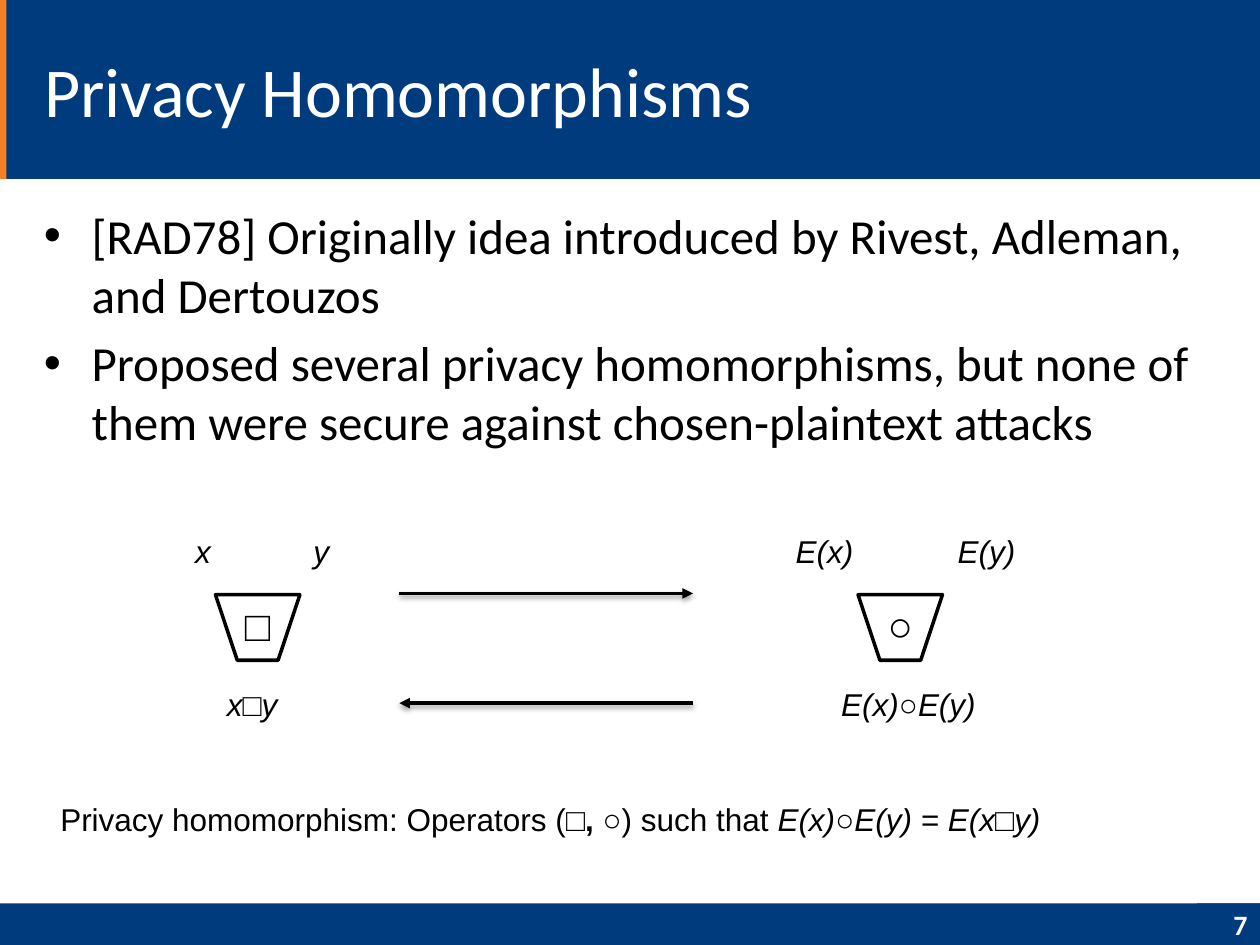
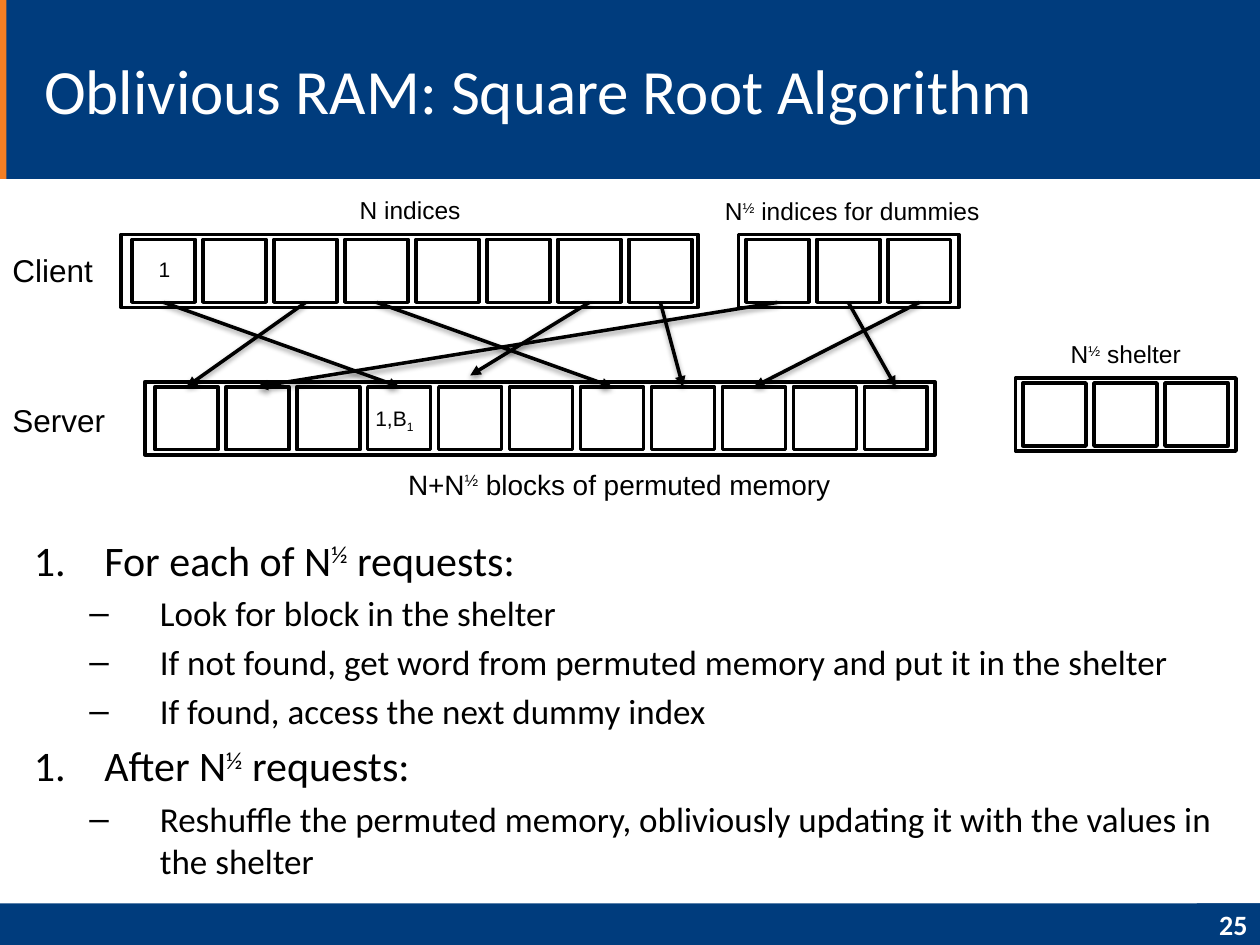
import pptx
import pptx.util
import pptx.dml.color
import pptx.enum.shapes
import pptx.enum.text
import pptx.oxml
import pptx.oxml.ns
import lxml.etree

COLORS = {"navy": "003C7D", "orange": "F47F24", "white": "FFFFFF", "black": "000000"}
WIDTH, HEIGHT = 10, 7.5
HEADER, FOOTER = 1.42, 0.33
LINE = 2
SHAPE = pptx.enum.shapes.MSO_SHAPE
ALIGN = {"left": pptx.enum.text.PP_ALIGN.LEFT, "center": pptx.enum.text.PP_ALIGN.CENTER,
         "right": pptx.enum.text.PP_ALIGN.RIGHT}
BASELINES = {"sup": "30000", "sub": "-25000"}
NAMESPACE = pptx.oxml.ns.nsdecls("a")
SHADOW = (f'<a:effectLst {NAMESPACE}><a:outerShdw blurRad="39400" dist="20300" dir="5400000" '
          'rotWithShape="0"><a:srgbClr val="000000"><a:alpha val="38000"/></a:srgbClr>'
          '</a:outerShdw></a:effectLst>')

HALF = ("½", "sup")

PRIVACY_POINTS = [
    "[RAD78] Originally idea introduced by Rivest, Adleman, and Dertouzos",
    "Proposed several privacy homomorphisms, but none of them were secure "
    "against chosen-plaintext attacks",
]
OPERATORS = [
    {"symbol": "□", "left": 1.71,
     "labels": [([("x", "i")], 1.61, 4.17), ([("y", "i")], 2.55, 4.17),
                ([("x", "i"), ("□", "b"), ("y ", "i")], 2.035, 5.39)]},
    {"symbol": "○", "left": 6.81,
     "labels": [([("E(x)", "i")], 6.545, 4.17), ([("E(y)", "i")], 7.83, 4.17),
                ([("E(x)", "i"), ("○", "b"), ("E(y)", "i")], 7.21, 5.39)]},
]
MAPPINGS = [((3.17, 4.71), (5.5, 4.71)), ((5.5, 5.58), (3.17, 5.58))]
DEFINITION = [("Privacy homomorphism: Operators (", ""), ("□, ○", "b"), (") such that ", ""),
              ("E(x)", "i"), ("○", "b"), ("E(y) = E(x", "i"), ("□", "b"), ("y)", "i")]

CELL, PITCH, CELL_DROP = 0.5, 0.563, 0.04
MEMORY = {
    "indices": {"left": 0.96, "top": 1.86, "width": 4.58, "inset": 0.09, "count": 8},
    "dummies": {"left": 5.86, "top": 1.86, "width": 1.75, "inset": 0.06, "count": 3},
    "shelter": {"left": 8.06, "top": 3.0, "width": 1.75, "inset": 0.06, "count": 3},
    "server": {"left": 1.15, "top": 3.03, "width": 6.27, "inset": 0.08, "count": 11},
}
PERMUTATION = {0: 3, 2: 0, 8: 1, 9: 10, 10: 8, 7: 7, 6: 4, 3: 6}
SHORT_ARROW = 6
CAPTIONS = [
    ([("N+N", ""), HALF, (" blocks of permuted memory", "")], 2.85, 3.66, 4.13, 16),
    ([("N indices", "")], 2.27, 1.5, 1.97, 14),
    ([("N", ""), HALF, (" indices for dummies", "")], 5.65, 1.51, 2.23, 14),
    ([("N", ""), HALF, (" shelter", "")], 7.95, 2.64, 1.97, 14),
]
TAGS = [
    ([("1,B", ""), ("1", "sub")], 2.88, 3.17, 0.52, 12),
    ([("1", "")], 1.16, 1.99, 0.29, 12),
    ([("Client", "")], 0, 1.94, 0.85, 18),
    ([("Server", "")], 0, 3.13, 0.95, 18),
]
STEPS = [
    (0, [("For each of N", ""), HALF, (" requests: ", "")]),
    (1, "Look for block in the shelter"),
    (1, "If not found, get word from permuted memory and put it in the shelter"),
    (1, "If found, access the next dummy index"),
    (0, [("After N", ""), HALF, (" requests:", "")]),
    (1, "Reshuffle the permuted memory, obliviously updating it with the values in the shelter"),
]
STEP_LEVELS = [
    {"size": 24, "indent": 0.56, "hang": 0.56, "bullet": "number"},
    {"size": 20, "indent": 1.0, "hang": 0.56, "bullet": "–"},
]

inches = pptx.util.Inches


def color(name):
    return pptx.dml.color.RGBColor.from_string(COLORS[name])


def place(shape, left, top, width, height):
    shape.left, shape.top = inches(left), inches(top)
    shape.width, shape.height = inches(width), inches(height)


def write(para, text, size=18, font="Arial", ink="black", bold=False, align="left",
          indent=0, hang=0, bullet=None):
    para.alignment = ALIGN[align]
    for words, style in [(text, "")] if isinstance(text, str) else text:
        span = para.add_run()
        span.text = words
        span.font.size, span.font.name = pptx.util.Pt(size), font
        span.font.color.rgb = color(ink)
        span.font.bold, span.font.italic = bold or style == "b", style == "i"
        if style in BASELINES:
            span.font._element.set("baseline", BASELINES[style])
    if bullet:
        para.space_before = pptx.util.Pt(size * 0.2)
        props = para._p.get_or_add_pPr()
        props.set("marL", str(inches(indent)))
        props.set("indent", str(-inches(hang)))
        if bullet == "number":
            mark = '<a:buAutoNum %s type="arabicPeriod"/>' % NAMESPACE
        else:
            props.append(pptx.oxml.parse_xml('<a:buFont %s typeface="Arial"/>' % NAMESPACE))
            mark = f'<a:buChar {NAMESPACE} char="{bullet}"/>'
        props.append(pptx.oxml.parse_xml(mark))


def add_text(page, paragraphs, left, top, width, height, wrap=True):
    box = page.shapes.add_textbox(*map(inches, (left, top, width, height)))
    box.text_frame.word_wrap = wrap
    for number, (text, style) in enumerate(paragraphs):
        para = box.text_frame.add_paragraph() if number else box.text_frame.paragraphs[0]
        write(para, text, **style)


def add_block(page, left, top, width, height, fill="white", line=None, kind=SHAPE.RECTANGLE):
    shape = page.shapes.add_shape(kind, *map(inches, (left, top, width, height)))
    shape.shadow.inherit = False
    shape.fill.solid()
    shape.fill.fore_color.rgb = color(fill)
    if line:
        shape.line.color.rgb = color(line)
        shape.line.width = pptx.util.Pt(LINE)
    else:
        shape.line.fill.background()
    return shape


def add_arrow(page, start, end):
    arrow = page.shapes.add_connector(pptx.enum.shapes.MSO_CONNECTOR.STRAIGHT,
                                      *map(inches, start + end))
    arrow.line.color.rgb = color("black")
    arrow.line.width = pptx.util.Pt(LINE)
    outline = arrow.line._get_or_add_ln()
    lxml.etree.SubElement(outline, pptx.oxml.ns.qn("a:tailEnd"), type="triangle")
    arrow._element.spPr.append(pptx.oxml.parse_xml(SHADOW))


def add_bands(page, layout):
    bands = [(0, HEIGHT - FOOTER, WIDTH, FOOTER, "navy"), (0, 0, WIDTH, HEADER, "navy"),
             (0, 0, 0.05, HEADER, "orange")]
    for position, band in enumerate(bands):
        element = add_block(page, *band)._element
        element.nvSpPr.cNvPr.set("id", str(100 + position))
        layout.shapes.element.insert(2 + position, element)


def add_page(deck, layout, title, number, size, width):
    page = deck.slides.add_slide(layout)
    heading = page.shapes.title
    place(heading, 0.25, 0.17, width, 1.08)
    frame = heading.text_frame
    frame.auto_size = pptx.enum.text.MSO_AUTO_SIZE.NONE
    frame.vertical_anchor = pptx.enum.text.MSO_ANCHOR.MIDDLE
    write(frame.paragraphs[0], title, size=size, font="Calibri", ink="white")
    corner = add_block(page, WIDTH - 0.5, HEIGHT - FOOTER, 0.5, FOOTER, "navy")
    corner.text_frame.vertical_anchor = pptx.enum.text.MSO_ANCHOR.MIDDLE
    write(corner.text_frame.paragraphs[0], number, size=16, font="Calibri", ink="white",
          bold=True, align="right")
    return page


def fill_privacy(page):
    style = {"size": 28, "font": "Calibri", "indent": 0.38, "hang": 0.38, "bullet": "•"}
    add_text(page, [(point, style) for point in PRIVACY_POINTS], 0.25, 1.58, 9.5, 2.25)
    for operator in OPERATORS:
        left = operator["left"]
        gate = add_block(page, left, 4.72, 0.67, 0.52, line="black", kind=SHAPE.TRAPEZOID)
        gate.adjustments[0] = 0.333
        gate.rotation = 180
        symbol = {"size": 24, "bold": True, "align": "center"}
        add_text(page, [(operator["symbol"], symbol)], left + 0.085, 4.71, 0.5, 0.51)
        for text, center, top in operator["labels"]:
            width = 0.42 if len(text[0][0]) == 1 and len(text) == 1 else 1.1 * len(text) ** 0.5
            add_text(page, [(text, {"align": "center"})], center - width / 2, top, width, 0.4)
    for start, end in MAPPINGS:
        add_arrow(page, start, end)
    add_text(page, [(DEFINITION, {})], 0.38, 6.3, 9.25, 0.4)


def fill_square_root(page):
    centers = {}
    for name, row in MEMORY.items():
        add_block(page, row["left"], row["top"], row["width"], 0.58, line="black")
        lefts = [row["left"] + row["inset"] + PITCH * k for k in range(row["count"])]
        for left in lefts:
            add_block(page, left, row["top"] + CELL_DROP, CELL, CELL, line="black")
        centers[name] = [left + CELL / 2 for left in lefts]
    client = centers["indices"] + centers["dummies"]
    start = MEMORY["indices"]["top"] + CELL_DROP + CELL
    end = MEMORY["server"]["top"] + CELL_DROP
    for source, target in PERMUTATION.items():
        tip = end - 0.09 if source == SHORT_ARROW else end
        add_arrow(page, (client[source], start), (centers["server"][target], tip))
    for text, left, top, width, size in CAPTIONS:
        add_text(page, [(text, {"size": size, "align": "center"})], left, top, width, 0.35)
    steps = [(text, {"font": "Calibri", **STEP_LEVELS[level]}) for level, text in STEPS]
    add_text(page, steps, 0.17, 4.19, 9.75, 2.81)
    for text, left, top, width, size in TAGS:
        add_text(page, [(text, {"size": size})], left, top, width, size / 60 + 0.1, wrap=False)


deck = pptx.Presentation()
deck.slide_width, deck.slide_height = inches(WIDTH), inches(HEIGHT)
title_only = deck.slide_layouts[5]
privacy = add_page(deck, title_only, "Privacy Homomorphisms", "7", 40, 7.33)
add_bands(privacy, title_only)
fill_privacy(privacy)
square_root = add_page(deck, title_only, "Oblivious RAM: Square Root Algorithm", "25", 36, 8.42)
fill_square_root(square_root)
deck.save("out.pptx")
